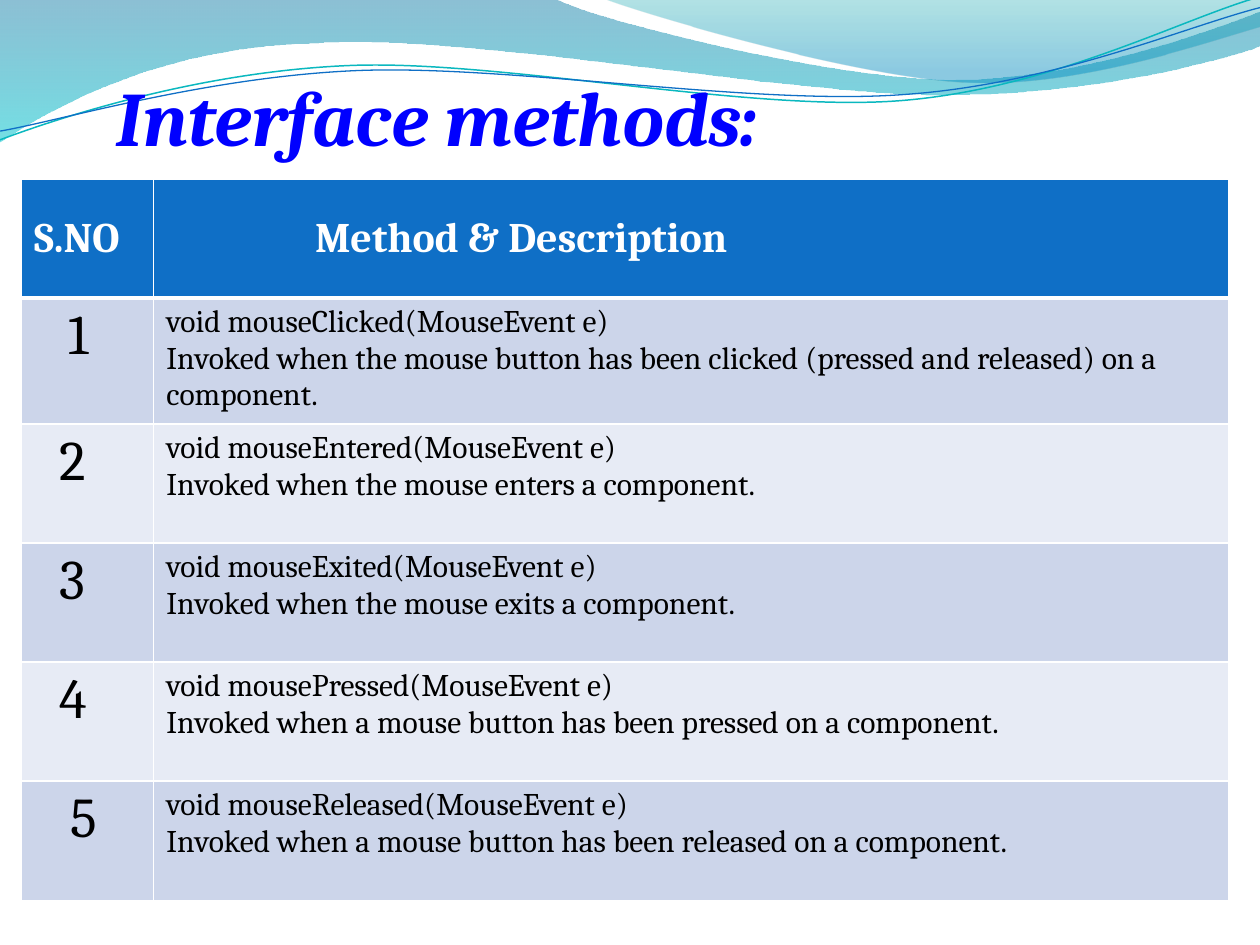
from math import cos, radians, sin
from lxml.etree import SubElement
from pptx import Presentation
from pptx.dml.color import RGBColor
from pptx.enum.text import MSO_ANCHOR
from pptx.oxml.ns import qn
from pptx.util import Emu, Pt

PX = 9144
FONT = "Cambria"
WHITE = RGBColor(0xFF, 0xFF, 0xFF)
BLACK = RGBColor(0x00, 0x00, 0x00)
TITLE_BLUE = RGBColor(0x00, 0x00, 0xFF)
HEADER_BLUE = RGBColor(0x0F, 0x6F, 0xC6)
TEAL = RGBColor(0x0A, 0xB8, 0xBF)
BAND_DARK = RGBColor(0xCC, 0xD5, 0xEA)
BAND_LIGHT = RGBColor(0xE7, 0xEB, 0xF5)
WAVE_BLUE = RGBColor(0x00, 0x74, 0xA1)
WAVE_CYAN = RGBColor(0x00, 0xC6, 0xCF)
CREST_TEAL = RGBColor(0x00, 0xA1, 0xA9)
CREST_BLUE = RGBColor(0x00, 0x8B, 0xBF)

RIPPLE_TILT = 2.7
WAVES = [
    ([(0, 0), (440, -1), (476, 17, 664, 63, 758, 63), (853, 63, 958, 26, 1000, 9),
      (1001, 36), (983, 44, 870, 76, 746, 75), (622, 75, 382, 28, 257, 34),
      (129, 36, 46, 83, -1, 113), (0, 0)],
     [(0, WAVE_BLUE, 45), (1, WAVE_CYAN, 55)]),
    ([(479, -1), (509, 11, 682, 62, 769, 65), (856, 69, 961, 32, 1000, 21),
      (1000, 0), (479, -1)],
     [(0, CREST_TEAL, 30), (0.8, CREST_BLUE, 45)]),
]
RIPPLES = [
    ([(0, 111), (48, 93, 158, 57, 277, 52), (395, 47, 593, 89, 713, 80),
      (833, 71, 938, 15, 998, -2)], (499, 57), TEAL, 0.85),
    ([(0, 104), (47, 96, 164, 61, 283, 56), (403, 51, 597, 84, 717, 75),
      (836, 67, 941, 21, 1000, 6)], (499, 59), HEADER_BLUE, 0.75),
]
METHODS = [
    ("1", 27, "void mouseClicked(MouseEvent e)",
     "Invoked when the mouse button has been clicked (pressed and released) on a component."),
    ("2", 20, "void mouseEntered(MouseEvent e)", "Invoked when the mouse enters a component."),
    ("3", 20, "void mouseExited(MouseEvent e)", "Invoked when the mouse exits a component."),
    ("4", 20, "void mousePressed(MouseEvent e)",
     "Invoked when a mouse button has been pressed on a component."),
    ("5", 29, "void mouseReleased(MouseEvent e)",
     "Invoked when a mouse button has been released on a component."),
]


def px(length):
    """Turn px into EMU."""
    return Emu(round(length * PX))


def turn(point, center, degrees):
    """Turn a point clockwise about a center."""
    dx, dy = point[0] - center[0], point[1] - center[1]
    c, s = cos(radians(degrees)), sin(radians(degrees))
    return center[0] + dx * c - dy * s, center[1] + dx * s + dy * c


def add_outline(slide, left, top, outline, center=(0, 0), tilt=0):
    """Draw an outline of lines and cubic curves, tilted back by the shape's rotation."""
    points = [turn(segment[i:i + 2], center, tilt)
              for segment in outline for i in range(0, len(segment), 2)]
    corners = [(px(left + x), px(top + y)) for x, y in points]
    builder = slide.shapes.build_freeform(*corners[0])
    builder.add_line_segments(corners[1:], close=outline[0] == outline[-1])
    shape = builder.convert_to_shape()
    shape.shadow.inherit = False
    shape.rotation = -tilt
    lines = iter(list(shape._element.iter(qn("a:lnTo"))))
    for segment in outline[1:]:
        line = next(lines)
        if len(segment) == 6:
            curve = line.makeelement(qn("a:cubicBezTo"))
            line.addprevious(curve)
            for control in (line, next(lines), next(lines)):
                curve.append(control[0])
                control.getparent().remove(control)
    return shape


def add_wave_band(slide, left, top):
    """Draw the translucent waves and the two ripples over them."""
    for outline, stops in WAVES:
        wave = add_outline(slide, left, top, outline)
        wave.line.fill.background()
        wave.fill.gradient()
        wave.fill.gradient_angle = 270
        for stop, (position, color, _) in zip(wave.fill.gradient_stops, stops):
            stop.position = position
            stop.color.rgb = color
        for color_node, (_, _, opacity) in zip(
                wave._element.spPr.iter(qn("a:srgbClr")), stops):
            SubElement(color_node, qn("a:alpha"), val=str(opacity * 1000))
    for outline, center, color, weight in RIPPLES:
        ripple = add_outline(slide, left, top, outline, center, RIPPLE_TILT)
        ripple.fill.background()
        ripple.line.color.rgb = color
        ripple.line.width = Pt(weight)


def style_text(paragraph, size, color, bold=False, italic=False, indent=0):
    """Set the font and left indent of a paragraph."""
    if indent:
        paragraph._p.get_or_add_pPr().set("marL", str(px(indent)))
    for run in paragraph.runs:
        font = run.font
        font.name, font.size, font.bold, font.italic = FONT, Pt(size), bold, italic
        font.color.rgb = color


def add_title(slide, left, top, width, height):
    """Place the slide title."""
    title = slide.shapes.add_textbox(px(left), px(top), px(width), px(height))
    title.text_frame.word_wrap = True
    title.text_frame.text = "Interface methods:"
    style_text(title.text_frame.paragraphs[0], 44, TITLE_BLUE, bold=True, italic=True)


def fill_cell(cell, text, size, color, background, bold=False, indent=0, above=1, below=1):
    """Write a cell and set its fill and white borders."""
    cell.text_frame.text = text
    for paragraph in cell.text_frame.paragraphs:
        style_text(paragraph, size, color, bold, indent=indent)
    properties = cell._tc.get_or_add_tcPr()
    for side, weight in (("L", 1), ("R", 1), ("T", above), ("B", below)):
        border = SubElement(properties, qn(f"a:ln{side}"), w=str(Pt(weight)))
        SubElement(SubElement(border, qn("a:solidFill")), qn("a:srgbClr"), val=str(WHITE))
    cell.fill.solid()
    cell.fill.fore_color.rgb = background


def add_method_table(slide, left, top, width, height):
    """Place the table of listener methods."""
    row_count = len(METHODS) + 1
    table = slide.shapes.add_table(row_count, 2, px(left), px(top),
                                   px(width), px(height)).table
    number_width = 105
    table.columns[0].width = px(number_width)
    table.columns[1].width = px(width - number_width)
    for column, (heading, indent) in enumerate([("S.NO", 0), ("Method & Description", 118)]):
        cell = table.cell(0, column)
        fill_cell(cell, heading, 24, WHITE, HEADER_BLUE, bold=True, indent=indent, below=3)
        cell.vertical_anchor = MSO_ANCHOR.MIDDLE
    for row, (number, indent, signature, description) in enumerate(METHODS, 1):
        band = BAND_DARK if row % 2 else BAND_LIGHT
        above = 3 if row == 1 else 1
        fill_cell(table.cell(row, 0), number, 32, BLACK, band, indent=indent, above=above)
        fill_cell(table.cell(row, 1), f"{signature}\n{description}", 18, BLACK, band,
                  above=above)


def main():
    """Build and save the slide."""
    presentation = Presentation()
    presentation.slide_width, presentation.slide_height = px(1000), px(750)
    slide = presentation.slides.add_slide(presentation.slide_layouts[6])
    add_wave_band(slide, 0, 0)
    add_title(slide, 83, 50, 800, 158)
    add_method_table(slide, 17, 142, 958, 567)
    presentation.save("out.pptx")


if __name__ == "__main__":
    main()
